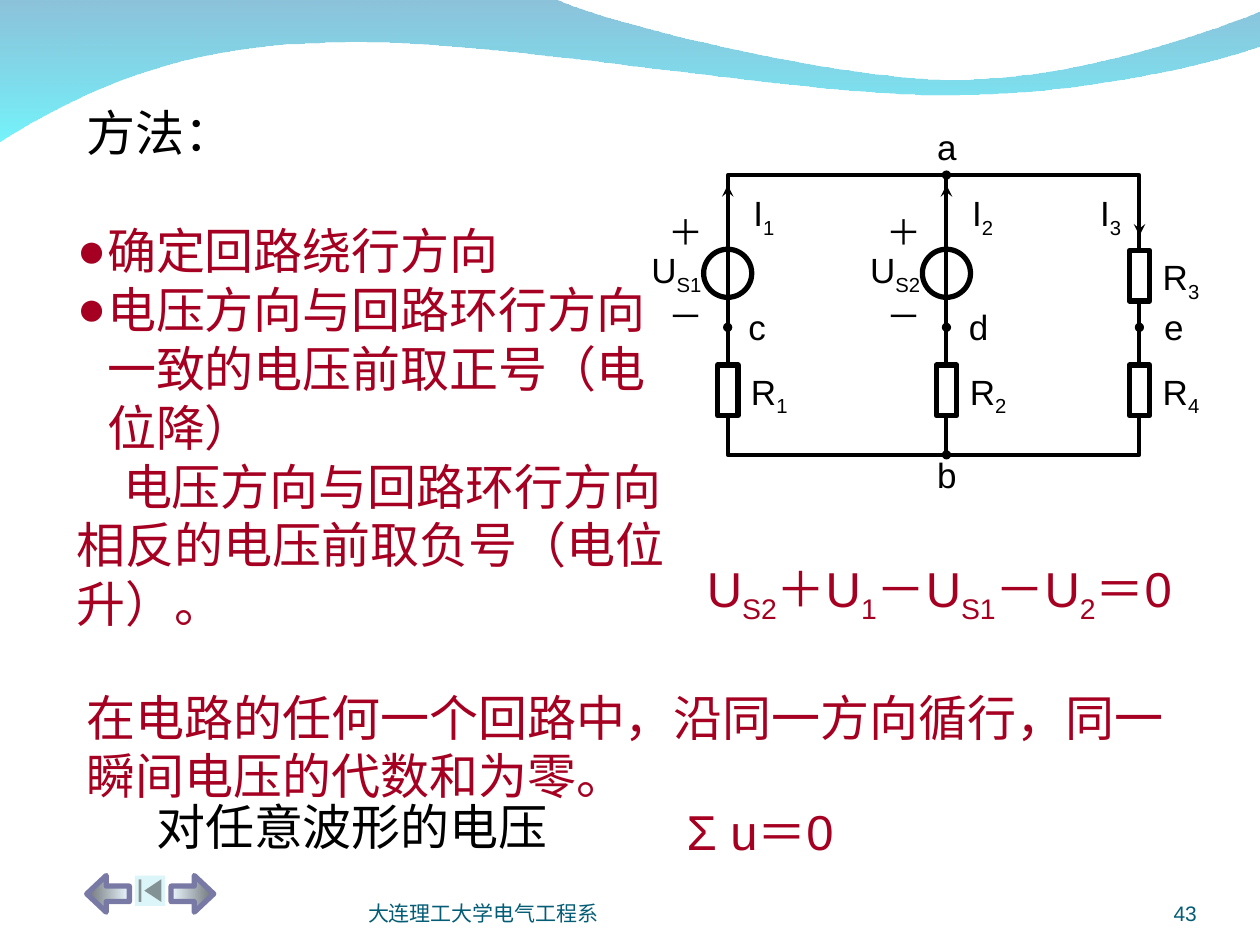
from lxml.etree import SubElement
from pptx import Presentation
from pptx.dml.color import RGBColor
from pptx.enum.shapes import MSO_CONNECTOR, MSO_SHAPE
from pptx.enum.text import MSO_ANCHOR as Anchor, MSO_AUTO_SIZE as AutoSize, PP_ALIGN as Align
from pptx.oxml.ns import qn
from pptx.util import Cm, Pt

COLORS = {
    "ink": "000000", "paper": "FFFFFF", "crimson": "A50021", "footer": "045C75",
    "wave_top": "0079AF", "wave_bottom": "00EBF8", "button": "DBF5F9",
    "arrow_light": "EBF7FF", "arrow_dark": "6D7276", "arrow_edge": "7979A5",
}
LEFT, MIDDLE, RIGHT = 14.67, 19.08, 22.97
TOP, BOTTOM = 3.53, 9.17
SOURCE_Y, NODE_Y, UPPER_R_Y, LOWER_R_Y = 5.51, 6.6, 5.56, 7.87
ARROW_LOW, ARROW_HIGH = 4.75, 3.73

WAVE_START = (11.18, -0.03)
WAVE_UPPER = [
    ((12.09, 0.43), (16.87, 1.6), (19.25, 1.6)),
    ((21.67, 1.6), (24.33, 0.66), (25.4, 0.23)),
]
WAVE_TURN = (25.43, 0.91)
WAVE_LOWER = [
    ((24.97, 1.12), (22.1, 1.93), (18.95, 1.91)),
    ((15.8, 1.91), (9.7, 0.71), (6.55, 0.86)),
    ((3.28, 0.91), (1.17, 2.11), (-0.03, 2.87)),
]


def rgb(color):
    return RGBColor.from_string(COLORS[color])


def set_all(target, formats):
    for key, value in formats.items():
        setattr(target, key, value)


def place(shape, box):
    set_all(shape, dict(zip(("left", "top", "width", "height"), map(Cm, box))))


def write(paragraph, pieces, size, color):
    for piece in pieces:
        words, baseline = piece if isinstance(piece, tuple) else (piece, None)
        run = paragraph.add_run()
        run.text = words
        set_all(run.font, {"name": "Arial", "size": Pt(size)})
        run.font.color.rgb = rgb(color)
        if baseline:
            run.font._element.set("baseline", str(baseline * 1000))


def format_frame(frame, anchor=Anchor.TOP, inset=(0.25, 0.13)):
    side, edge = map(Cm, inset)
    set_all(frame, {
        "word_wrap": True, "auto_size": AutoSize.NONE, "vertical_anchor": anchor,
        "margin_left": side, "margin_right": side,
        "margin_top": edge, "margin_bottom": edge,
    })


def add_label(slide, box, pieces, size=28, color="ink", align=Align.LEFT, **frame_format):
    frame = slide.shapes.add_textbox(*map(Cm, box)).text_frame
    format_frame(frame, **frame_format)
    frame.paragraphs[0].alignment = align
    write(frame.paragraphs[0], pieces, size, color)
    return frame


def add_symbol(slide, label, subscript, x, y, width):
    add_label(slide, (x, y, width, 1.22), [label, (subscript, -25)], 20)


def add_part(slide, kind, box, fill=None, edge=None, weight=3):
    part = slide.shapes.add_shape(kind, *map(Cm, box))
    part.shadow.inherit = False
    if fill:
        part.fill.solid()
        part.fill.fore_color.rgb = rgb(fill)
    else:
        part.fill.background()
    if edge:
        part.line.color.rgb = rgb(edge)
        part.line.width = Pt(weight)
    else:
        part.line.fill.background()
    return part


def add_centred(slide, kind, x, y, width, height, fill, weight=3):
    box = (x - width / 2, y - height / 2, width, height)
    return add_part(slide, kind, box, fill, "ink", weight)


def add_wire(slide, x, start, end, arrow=False):
    wire = slide.shapes.add_connector(MSO_CONNECTOR.STRAIGHT, *map(Cm, (x, start, x, end)))
    wire.line.color.rgb = rgb("ink")
    wire.line.width = Pt(2.25)
    if arrow:
        SubElement(wire.line._get_or_add_ln(), qn("a:tailEnd"), type="stealth")
    SubElement(wire._element.spPr, qn("a:effectLst"))


def fill_gradient(shape, colors, angle, alphas=()):
    shape.fill.gradient()
    shape.fill.gradient_angle = angle
    stops = list(shape.fill.gradient_stops)
    for stop, color, position in zip(stops, colors, (0, 1)):
        stop.color.rgb = rgb(color)
        stop.position = position
    for stop, alpha in zip(stops, alphas):
        SubElement(stop._gs.find(qn("a:srgbClr")), qn("a:alpha"), val=str(alpha * 1000))


def trace_curves(start, curves, steps=24):
    points = [start]
    for first, second, end in curves:
        origin = points[-1]
        for step in range(1, steps + 1):
            t = step / steps
            weights = ((1 - t) ** 3, 3 * t * (1 - t) ** 2, 3 * t * t * (1 - t), t ** 3)
            corners = (origin, first, second, end)
            points.append(tuple(sum(w * c[axis] for w, c in zip(weights, corners))
                                for axis in (0, 1)))
    return points


def add_wave(slide):
    outline = [(0, 0), *trace_curves(WAVE_START, WAVE_UPPER), *trace_curves(WAVE_TURN, WAVE_LOWER)]
    points = [(Cm(x), Cm(y)) for x, y in outline]
    builder = slide.shapes.build_freeform(*points[0], scale=1.0)
    builder.add_line_segments(points[1:], close=True)
    wave = builder.convert_to_shape()
    wave.shadow.inherit = False
    wave.line.fill.background()
    fill_gradient(wave, ("wave_top", "wave_bottom"), 270, (45, 55))
    slide.shapes._spTree.insert(2, wave._element)


def add_title(slide):
    title = slide.shapes.title
    place(title, (1.5, 1.93, 6.6, 1.45))
    format_frame(title.text_frame)
    heading = title.text_frame.paragraphs[0]
    heading.alignment = Align.LEFT
    write(heading, ["方法："], 28, "ink")


def add_method_list(slide):
    body = slide.placeholders[1]
    place(body, (1.3, 4.32, 12.9, 8.56))
    frame = body.text_frame
    format_frame(frame)
    steps = [
        ("确定回路绕行方向", True),
        ("电压方向与回路环行方向一致的电压前取正号（电位降）", True),
        ("电压方向与回路环行方向相反的电压前取负号（电位升）。", False),
    ]
    for index, (step, bulleted) in enumerate(steps):
        paragraph = frame.add_paragraph() if index else frame.paragraphs[0]
        set_all(paragraph, {"space_before": Pt(0), "line_spacing": 1.0})
        properties = paragraph._p.get_or_add_pPr()
        margin, indent = (0.61, -0.61) if bulleted else (0, 0.93)
        properties.set("marL", str(Cm(margin)))
        properties.set("indent", str(Cm(indent)))
        if bulleted:
            tint = SubElement(properties, qn("a:buClr"))
            SubElement(tint, qn("a:srgbClr"), val=COLORS["crimson"])
            SubElement(properties, qn("a:buFont"), typeface="Arial")
            SubElement(properties, qn("a:buChar"), char="●")
        else:
            SubElement(properties, qn("a:buNone"))
        write(paragraph, [step], 28, "crimson")


def add_circuit(slide):
    for x in (LEFT, MIDDLE):
        add_centred(slide, MSO_SHAPE.OVAL, x, SOURCE_Y, 0.97, 0.97, "paper")
    add_part(slide, MSO_SHAPE.RECTANGLE, (LEFT, TOP, RIGHT - LEFT, BOTTOM - TOP),
             edge="ink", weight=2.25)
    add_wire(slide, MIDDLE, TOP, BOTTOM)

    for number, x in (("1", LEFT), ("2", MIDDLE)):
        add_wire(slide, x, ARROW_LOW, ARROW_HIGH, arrow=True)
        add_symbol(slide, "I", number, x + 0.27, 3.73, 1.12)
        add_symbol(slide, "U", "S" + number, x - 1.79, 4.88, 1.75)
        polarity = add_label(slide, (x - 1.45, 4.11, 1.55, 2.79), ["＋"], 20)
        minus = polarity.add_paragraph()
        minus.space_before = Pt(24)
        write(minus, ["－"], 20, "ink")
    add_wire(slide, RIGHT, ARROW_HIGH, ARROW_LOW, arrow=True)
    add_symbol(slide, "I", "3", RIGHT - 1.04, 3.73, 1.12)

    resistors = [("1", LEFT, LOWER_R_Y), ("2", MIDDLE, LOWER_R_Y),
                 ("3", RIGHT, UPPER_R_Y), ("4", RIGHT, LOWER_R_Y)]
    for number, x, y in resistors:
        resistor = add_centred(slide, MSO_SHAPE.RECTANGLE, x, y, 1.02, 0.41, "paper")
        resistor.rotation = 90
        add_symbol(slide, "R", number, x + 0.22, y - 0.54, 1.45)

    nodes = [("a", MIDDLE, TOP, -0.44, -1.12), ("b", MIDDLE, BOTTOM, -0.44, -0.15),
             ("c", LEFT, NODE_Y, 0.15, -0.58), ("d", MIDDLE, NODE_Y, 0.2, -0.58),
             ("e", RIGHT, NODE_Y, 0.25, -0.58)]
    for name, x, y, shift_x, shift_y in nodes:
        add_centred(slide, MSO_SHAPE.OVAL, x, y, 0.16, 0.16, "ink", 0.75)
        add_label(slide, (x + shift_x, y + shift_y, 0.89, 1.12), [name], 20, align=Align.CENTER)


def add_conclusions(slide):
    equation = ["U", ("S2", -25), "＋U", ("1", -25), "－U", ("S1", -25), "－U", ("2", -25), "＝0"]
    add_label(slide, (14, 11.13, 10.31, 2.79), equation, color="crimson")
    law = "在电路的任何一个回路中，沿同一方向循行，同一瞬间电压的代数和为零。"
    add_label(slide, (1.5, 13.72, 22.4, 2.64), [law], color="crimson")
    add_label(slide, (2.9, 15.93, 10.11, 1.45), ["对任意波形的电压"])
    add_label(slide, (13.59, 16.03, 5.79, 1.45), ["Σ u＝0"], color="crimson")


def add_navigation(slide):
    for x, flipped in ((1.75, True), (3.45, False)):
        arrow = add_part(slide, MSO_SHAPE.RIGHT_ARROW, (x, 17.65, 0.86, 0.74), edge="arrow_edge")
        arrow.adjustments[0], arrow.adjustments[1] = 0.42, 0.53
        fill_gradient(arrow, ("arrow_light", "arrow_dark"), 0)
        if flipped:
            arrow._element.spPr.find(qn("a:xfrm")).set("flipH", "1")
    add_part(slide, MSO_SHAPE.ACTION_BUTTON_BEGINNING, (2.72, 17.65, 0.61, 0.61), "button")


def add_footer(slide):
    footers = [((7.42, 17.65, 9.32, 1.02), "大连理工大学电气工程系", Align.LEFT),
               ((22.02, 17.65, 2.11, 1.02), "43", Align.RIGHT)]
    for box, words, align in footers:
        add_label(slide, box, [words], 12, "footer", align, anchor=Anchor.BOTTOM, inset=(0, 0))


def main():
    deck = Presentation()
    set_all(deck, {"slide_width": Cm(25.4), "slide_height": Cm(19.05)})
    slide = deck.slides.add_slide(deck.slide_layouts[1])
    for build in (add_wave, add_title, add_method_list, add_circuit,
                  add_conclusions, add_navigation, add_footer):
        build(slide)
    deck.save("out.pptx")


if __name__ == "__main__":
    main()
